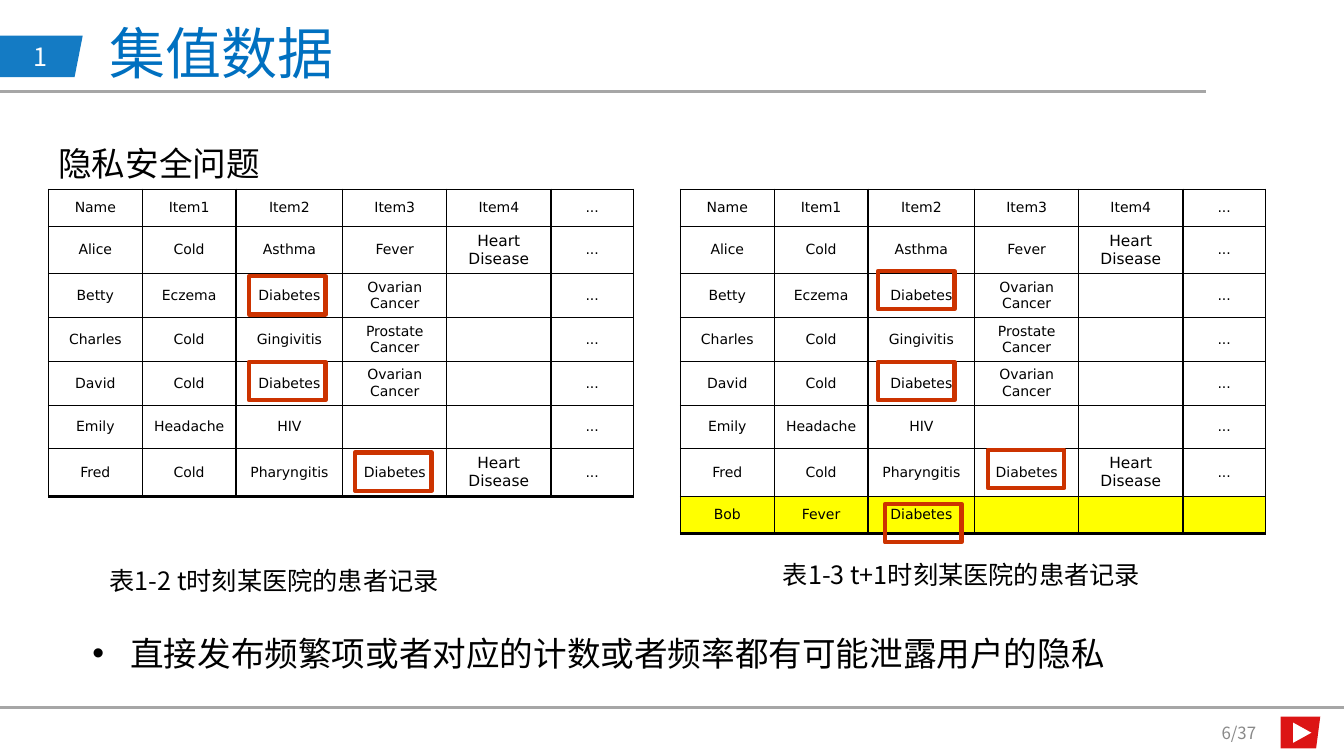
from pptx import Presentation
from pptx.dml.color import RGBColor
from pptx.enum import shapes as es, text as et
from pptx.oxml.ns import qn
from pptx.util import Pt
from lxml import etree

BLUE = RGBColor(0x00, 0x70, 0xC0)
RED = RGBColor(0xDA, 0x00, 0x00)
RUST = RGBColor(0xCC, 0x33, 0x00)
GREY = RGBColor(0xA6, 0xA6, 0xA6)
DIM = RGBColor(0x89, 0x89, 0x89)
BLACK = RGBColor(0, 0, 0)
WHITE = RGBColor(255, 255, 255)
YELLOW = RGBColor(255, 255, 0)

CJK = "Noto Sans CJK SC"
SANS = "DejaVu Sans"
MID = et.MSO_ANCHOR.MIDDLE
TOP = et.MSO_ANCHOR.TOP
MARK = (54.7, 27.4)
COLS = (67, 67, 76.3, 74.2, 74.6, 58.8)
HEIGHTS = (26.4, 34, 31.3, 31.3, 31.3, 31.1, 34, 26.4)
ROWS = [
    ("Name", "Item1", "Item2", "Item3", "Item4", "..."),
    ("Alice", "Cold", "Asthma", "Fever", "Heart Disease", "..."),
    ("Betty", "Eczema", "Diabetes", "Ovarian Cancer", "", "..."),
    ("Charles", "Cold", "Gingivitis", "Prostate Cancer", "", "..."),
    ("David", "Cold", "Diabetes", "Ovarian Cancer", "", "..."),
    ("Emily", "Headache", "HIV", "", "", "..."),
    ("Fred", "Cold", "Pharyngitis", "Diabetes", "Heart Disease", "..."),
]
BOB = ("Bob", "Fever", "Diabetes", "", "", "")


def put(item, vals):
    for key, val in vals.items():
        setattr(item, key, val)


def sub(node, tag, **vals):
    return etree.SubElement(node, qn(tag), vals)


def write(frame, words, size, color, font=CJK, align=et.PP_ALIGN.LEFT):
    para = frame.paragraphs[0]
    para.alignment = align
    run = para.add_run()
    run.text = words
    put(run.font, {"size": Pt(size), "name": font})
    run.font.color.rgb = color
    sub(run.font._element, "a:ea", typeface=font)
    return para


def label(slide, box, words, size, color=BLACK, align=et.PP_ALIGN.LEFT,
          anchor=TOP, lead=None):
    frame = slide.shapes.add_textbox(*map(Pt, box)).text_frame
    put(frame, {"word_wrap": True, "vertical_anchor": anchor})
    para = write(frame, words, size, color, align=align)
    para.line_spacing = lead
    return para


def rule(slide, left, right, top):
    line = slide.shapes.add_connector(
        es.MSO_CONNECTOR.STRAIGHT, Pt(left), Pt(top), Pt(right), Pt(top))
    line.line.color.rgb = GREY
    line.line.width = Pt(2.25)
    sub(line._element.spPr, "a:effectLst")


def paint(shape, color):
    shape.shadow.inherit = False
    shape.fill.solid()
    shape.fill.fore_color.rgb = color
    shape.line.fill.background()


def slant(group, box, cut, color):
    x, y, w, h = box
    pen = group.build_freeform(Pt(x), Pt(y))
    pen.add_line_segments([(Pt(a), Pt(b)) for a, b in (
        (x + w, y), (x + w - cut, y + h), (x, y + h))])
    shape = pen.convert_to_shape()
    paint(shape, color)
    tint = shape._element.spPr.find(qn("a:solidFill"))[0]
    sub(tint, "a:alpha", val="92000")
    return shape


def header(slide, box):
    x, y, w, h = box
    label(slide, (x + 72.7, y + 10, 513, 55.4), "集值数据", 40, BLUE)
    frame = slant(slide.shapes, (x, y + 25.5, 60.5, 29.5), 5.8, BLUE).text_frame
    frame.vertical_anchor = MID
    write(frame, "1", 18, WHITE, align=et.PP_ALIGN.CENTER)
    rule(slide, x, x + w, y + h)


def footer(slide, box):
    x, y, w, h = box
    rule(slide, x, x + w, y)
    label(slide, (x + 850.3, y + 3.6, 54, 28.8), "6/37", 12, DIM,
          et.PP_ALIGN.RIGHT, MID)
    group = slide.shapes.add_group_shape().shapes
    slant(group, (x + 914.7, y + 6.3, 28.4, 22.7), 3, RED)
    arrow = group.add_shape(es.MSO_SHAPE.ISOSCELES_TRIANGLE, Pt(x + 923),
                            Pt(y + 11.3), Pt(14.4), Pt(13))
    arrow.rotation = 90
    paint(arrow, WHITE)


def edges(cell, last):
    props = cell._tc.get_or_add_tcPr()
    for side in "LRTB":
        wide = 2.25 if last and side == "B" else 1
        line = sub(props, "a:ln" + side, w=str(Pt(wide)))
        sub(sub(line, "a:solidFill"), "a:srgbClr", val=str(BLACK))


def fill(cell, words, color, last):
    edges(cell, last)
    if color:
        cell.fill.solid()
        cell.fill.fore_color.rgb = color
    else:
        cell.fill.background()
    cell.vertical_anchor = MID
    if words:
        size = 11 if words == "Heart Disease" else 10
        write(cell.text_frame, words, size, BLACK, SANS, et.PP_ALIGN.CENTER)
    else:
        para = cell.text_frame.paragraphs[0]._p
        sub(para, "a:endParaRPr", sz="1000")


def record(slide, box, rows, marks):
    x, y, w, h = box
    table = slide.shapes.add_table(
        len(rows), len(COLS), *map(Pt, box)).table
    put(table, {"first_row": False, "horz_banding": False})
    for col, wide in zip(table.columns, COLS):
        col.width = Pt(wide)
    for i, row in enumerate(rows):
        table.rows[i].height = Pt(HEIGHTS[i])
        for j, words in enumerate(row):
            fill(table.cell(i, j), words, YELLOW if row is BOB else None,
                 i == len(rows) - 1)
    for dx, dy in marks:
        mark = slide.shapes.add_shape(
            es.MSO_SHAPE.RECTANGLE, Pt(x + dx), Pt(y + dy), *map(Pt, MARK))
        mark.shadow.inherit = False
        mark.fill.background()
        mark.line.color.rgb = RUST
        mark.line.width = Pt(3)


def point(slide, box):
    para = label(slide, box, "直接发布频繁项或者对应的计数或者频率都有可能泄露用户的隐私",
                 24, lead=1.5)
    props = para._p.get_or_add_pPr()
    props.set("marL", str(Pt(27)))
    props.set("indent", str(Pt(-27)))
    sub(props, "a:buFont", typeface="Arial")
    sub(props, "a:buChar", char="•")


def main():
    deck = Presentation()
    put(deck, {"slide_width": Pt(960), "slide_height": Pt(540)})
    slide = deck.slides.add_slide(deck.slide_layouts[6])
    footer(slide, (0, 505.6, 960, 34.4))
    header(slide, (-1.4, 0, 863.2, 65.4))
    label(slide, (34.6, 84.2, 895.7, 46), "隐私安全问题", 24, lead=1.5)
    wide = sum(COLS)
    record(slide, (34.6, 135.2, wide, sum(HEIGHTS[:-1])), ROWS,
           [(143.3, 62), (143.3, 123.3), (219, 188)])
    record(slide, (486, 135.2, wide, sum(HEIGHTS)), ROWS + [BOB],
           [(141.1, 58.4), (141.1, 123.3), (219.6, 186), (146.2, 224.8)])
    label(slide, (71.3, 400.3, 267, 29), "表1-2 t时刻某医院的患者记录", 18)
    label(slide, (552.2, 396, 278.6, 29), "表1-3 t+1时刻某医院的患者记录", 18)
    point(slide, (59, 434.2, 895.7, 51))
    deck.save("out.pptx")


if __name__ == "__main__":
    main()
